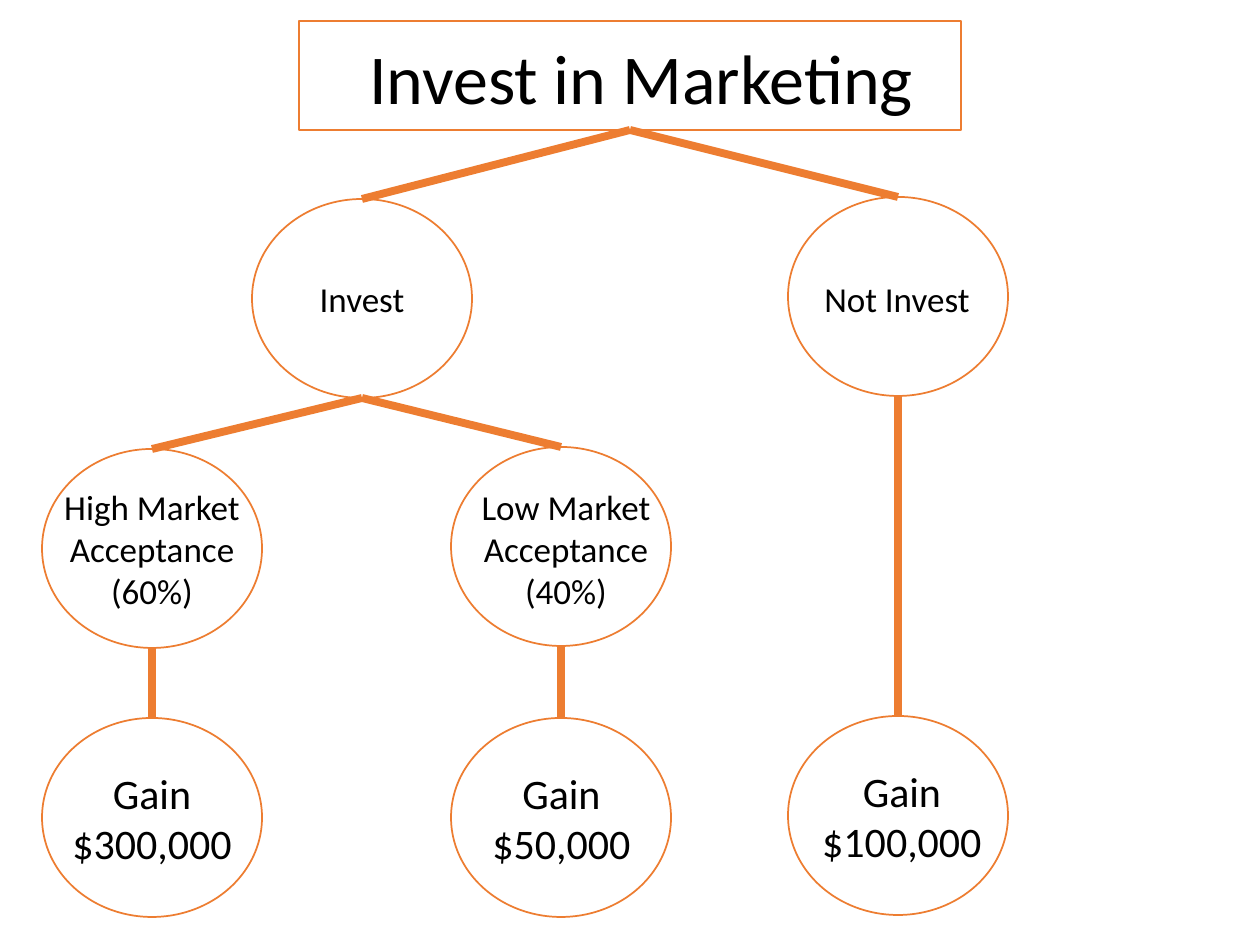
from lxml.etree import SubElement
from pptx import Presentation
from pptx.dml.color import RGBColor
from pptx.enum.shapes import MSO_CONNECTOR, MSO_SHAPE
from pptx.enum.text import MSO_AUTO_SIZE, PP_ALIGN
from pptx.oxml.ns import qn
from pptx.util import Pt

EMU_PER_PX = 914400 / 126
COLORS = {"outline": "ED7D31", "fill": "FFFFFF", "text": "000000"}
NODE_WIDTH, NODE_HEIGHT = 220, 199


def px(length):
    return round(length * EMU_PER_PX)


def color(name):
    return RGBColor.from_string(COLORS[name])


class TreeSlide:
    """Holds the style and the slide of a decision tree."""

    font = "Calibri"

    def __init__(self, deck):
        self.page = deck.slides.add_slide(deck.slide_layouts[6])

    def outline(self, kind, left, top, width, height):
        shape = self.page.shapes.add_shape(kind, px(left), px(top), px(width), px(height))
        shape.shadow.inherit = False
        shape.fill.solid()
        shape.fill.fore_color.rgb = color("fill")
        shape.line.color.rgb = color("outline")
        shape.line.width = Pt(1)
        return shape

    def label(self, text, left, top, width, height, size, align=PP_ALIGN.CENTER):
        box = self.page.shapes.add_textbox(px(left), px(top), px(width), px(height))
        frame = box.text_frame
        frame.word_wrap = True
        frame.auto_size = MSO_AUTO_SIZE.SHAPE_TO_FIT_TEXT
        frame.text = text
        para = frame.paragraphs[0]
        para.alignment = align
        span = para.runs[0]
        span.font.name = self.font
        span.font.size = Pt(size)
        span.font.color.rgb = color("text")

    def branch(self, parent, child):
        """Joins the bottom centre of the parent to the top centre of the child."""
        line = self.page.shapes.add_connector(
            MSO_CONNECTOR.STRAIGHT,
            parent.left + parent.width // 2, parent.top + parent.height,
            child.left + child.width // 2, child.top)
        line.line.color.rgb = color("outline")
        line.line.width = Pt(4.5)
        SubElement(line._element.spPr, qn("a:effectLst"))


# name: (left, top) of the circle, text, (left, top, width, height) of the label, size
NODES = {
    "invest": ((252, 199), "Invest", (265, 271, 194, 55), 20),
    "not invest": ((788, 197), "Not Invest", (800, 271, 194, 55), 20),
    "high": ((42, 449), "High Market Acceptance (60%)", (42, 479, 220, 140), 20),
    "low": ((451, 447), "Low Market Acceptance (40%)", (456, 479, 220, 140), 20),
    "high gain": ((42, 718), "Gain $300,000", (55, 761, 194, 115), 24),
    "low gain": ((451, 718), "Gain $50,000", (472, 761, 179, 115), 24),
    "safe gain": ((788, 716), "Gain $100,000", (809, 759, 186, 115), 24),
}
BRANCHES = [
    ("root", "invest"), ("root", "not invest"),
    ("invest", "high"), ("invest", "low"),
    ("high", "high gain"), ("low", "low gain"), ("not invest", "safe gain"),
]


def main():
    deck = Presentation()
    deck.slide_width, deck.slide_height = px(1260), px(945)
    tree = TreeSlide(deck)

    shapes = {"root": tree.outline(MSO_SHAPE.RECTANGLE, 299, 21, 662, 109)}
    tree.label("Invest in Marketing", 357, 28, 630, 97, 40, PP_ALIGN.LEFT)
    for name, (corner, text, area, size) in NODES.items():
        shapes[name] = tree.outline(MSO_SHAPE.OVAL, *corner, NODE_WIDTH, NODE_HEIGHT)
        tree.label(text, *area, size)
    for parent, child in BRANCHES:
        tree.branch(shapes[parent], shapes[child])

    deck.save("out.pptx")


if __name__ == "__main__":
    main()
